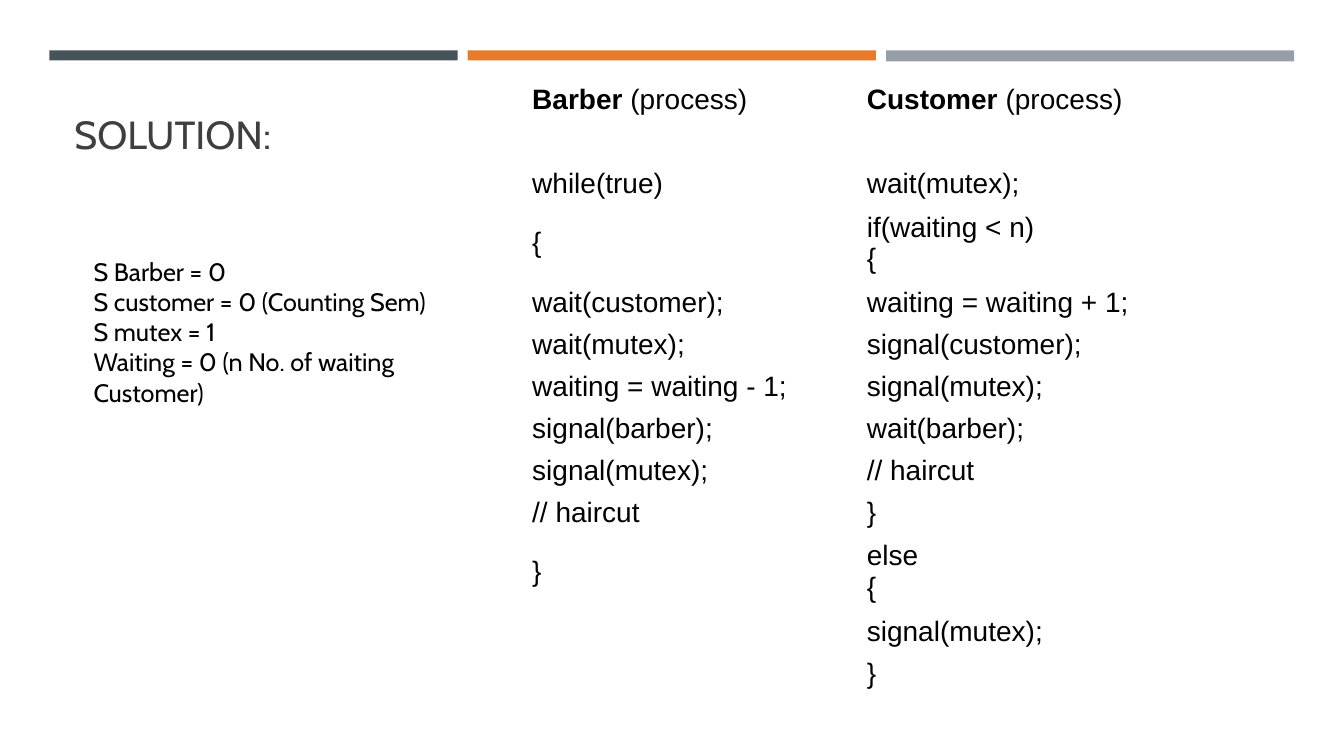
from dataclasses import dataclass

from pptx import Presentation
from pptx.dml.color import RGBColor
from pptx.enum.shapes import MSO_SHAPE
from pptx.enum.text import MSO_ANCHOR, MSO_AUTO_SIZE
from pptx.slide import Slide
from pptx.text.text import TextFrame
from pptx.util import Emu, Pt

SCALE = 3048
HUES = {
    "slate": "465359",
    "orange": "E77B29",
    "grey": "969FA7",
    "title": "3F3F3F",
    "black": "000000",
}
ROW, TALL, WIDE = 125, 229, 996


@dataclass(frozen=True)
class Style:
    font: str
    size: int
    hue: str


@dataclass(frozen=True)
class Bar:
    hue: str
    high: int


@dataclass(frozen=True)
class Note:
    left: int
    top: int
    wide: int
    high: int
    text: str
    style: Style
    anchor: MSO_ANCHOR
    fit: MSO_AUTO_SIZE


CODE = Style("Arial", 20, "black")
BARS = [Bar("slate", 30), Bar("orange", 30), Bar("grey", 33)]
NOTES = [
    Note(192, 231, 3618, 252, "SOLUTION:", Style("Cabin", 28, "title"),
         MSO_ANCHOR.BOTTOM, MSO_AUTO_SIZE.NONE),
    Note(249, 747, 1251, 486,
         "S Barber = 0\nS customer = 0 (Counting Sem)\nS mutex = 1\n"
         "Waiting = 0 (n No. of waiting Customer)",
         Style("Cabin", 18, "black"), MSO_ANCHOR.TOP,
         MSO_AUTO_SIZE.SHAPE_TO_FIT_TEXT),
]
HEADS = ["Barber", "Customer"]
LINES = [
    ("", ""),
    ("while(true)", "wait(mutex);"),
    ("{", "if(waiting < n)\n{"),
    ("wait(customer);", "waiting = waiting + 1;"),
    ("wait(mutex);", "signal(customer);"),
    ("waiting = waiting - 1;", "signal(mutex);"),
    ("signal(barber);", "wait(barber);"),
    ("signal(mutex);", "// haircut"),
    ("// haircut", "}"),
    ("}", "else\n{"),
    ("", "signal(mutex);"),
    ("", "}"),
    ("", ""),
]


def px(count: int) -> Emu:
    return Emu(count * SCALE)


def tint(name: str) -> RGBColor:
    return RGBColor.from_string(HUES[name])


def dress(frame: TextFrame, style: Style) -> None:
    for para in frame.paragraphs:
        para.font.name = style.font
        para.font.size = Pt(style.size)
        para.font.color.rgb = tint(style.hue)


def draw_bar(slide: Slide, index: int, bar: Bar) -> None:
    shape = slide.shapes.add_shape(
        MSO_SHAPE.RECTANGLE, px(147 + index * 1245), px(150), px(1215), px(bar.high))
    shape.shadow.inherit = False
    shape.fill.solid()
    shape.fill.fore_color.rgb = tint(bar.hue)
    shape.line.fill.background()


def draw_note(slide: Slide, note: Note) -> None:
    box = slide.shapes.add_textbox(
        px(note.left), px(note.top), px(note.wide), px(note.high))
    frame = box.text_frame
    frame.word_wrap = True
    frame.auto_size = note.fit
    frame.vertical_anchor = note.anchor
    frame.text = note.text
    dress(frame, note.style)


def draw_code(slide: Slide) -> None:
    highs = [ROW] + [TALL if "\n" in "".join(pair) else ROW for pair in LINES]
    table = slide.shapes.add_table(
        len(highs), len(HEADS), px(1557), px(234),
        px(WIDE * len(HEADS)), px(sum(highs))).table
    table.first_row = False
    table.horz_banding = False
    for row, high in zip(table.rows, highs):
        row.height = px(high)
    for col, head in enumerate(HEADS):
        table.columns[col].width = px(WIDE)
        para = table.cell(0, col).text_frame.paragraphs[0]
        for text, bold in ((head, True), (" (process)", False)):
            run = para.add_run()
            run.text = text
            run.font.bold = bold
        for row, pair in enumerate(LINES, 1):
            table.cell(row, col).text_frame.text = pair[col]
    for cell in table.iter_cells():
        cell.fill.background()
        cell.vertical_anchor = MSO_ANCHOR.MIDDLE
        cell.margin_left = cell.margin_right = px(27)
        cell.margin_top = cell.margin_bottom = px(12)
        dress(cell.text_frame, CODE)


def main() -> None:
    deck = Presentation()
    deck.slide_width, deck.slide_height = px(4000), px(2250)
    slide = deck.slides.add_slide(deck.slide_layouts[6])
    for index, bar in enumerate(BARS):
        draw_bar(slide, index, bar)
    for note in NOTES:
        draw_note(slide, note)
    draw_code(slide)
    deck.save("out.pptx")


if __name__ == "__main__":
    main()
